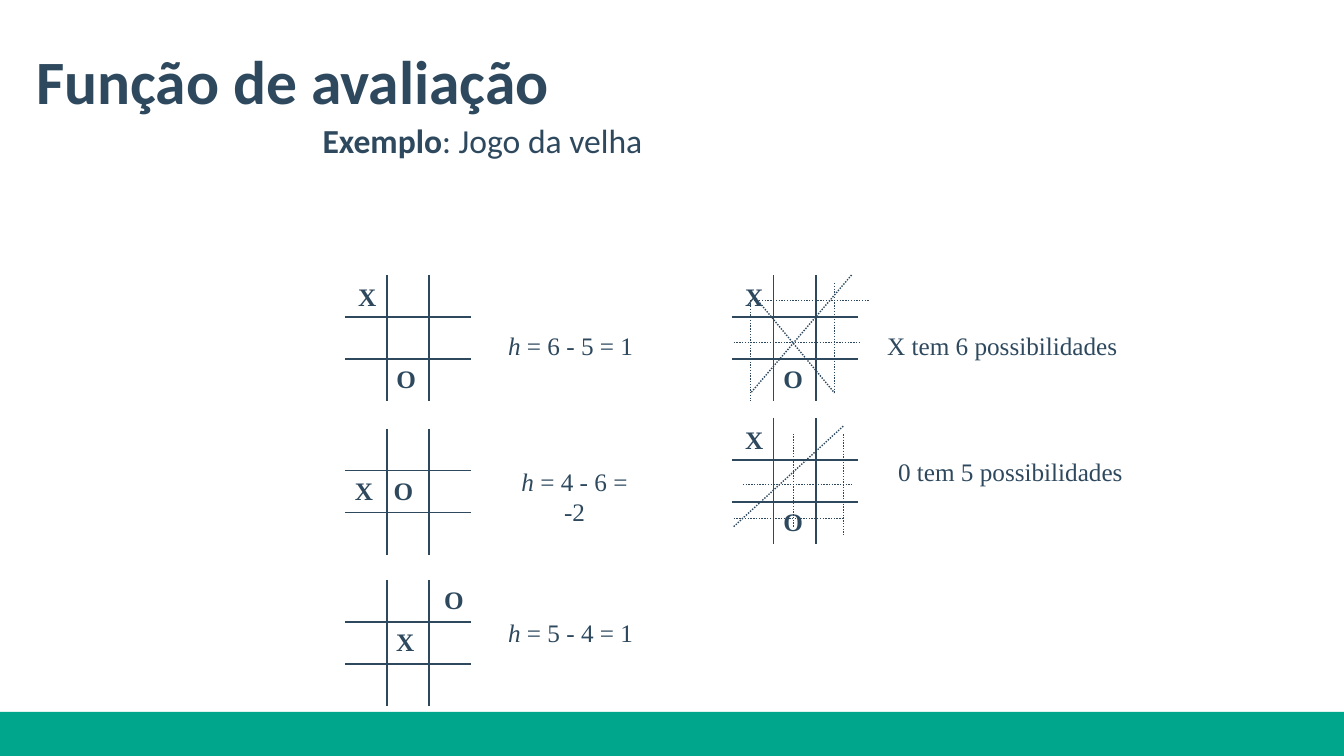
from lxml.etree import SubElement
from pptx import Presentation
from pptx.dml.color import RGBColor
from pptx.enum.dml import MSO_LINE
from pptx.enum.shapes import MSO_CONNECTOR, MSO_SHAPE
from pptx.enum.text import MSO_ANCHOR, MSO_AUTO_SIZE, PP_ALIGN
from pptx.oxml.ns import qn
from pptx.util import Cm, Pt

INK, GREEN = "2E495E", "00A68B"
CELL = 1.06
LEFT_X, RIGHT_X = 8.69, 18.44


def add_line(x1, y1, x2, y2, dash=None):
    line = s.shapes.add_connector(MSO_CONNECTOR.STRAIGHT, Cm(x1), Cm(y1), Cm(x2), Cm(y2))
    line.line.color.rgb = RGBColor.from_string(INK)
    line.line.width = Pt(1)
    if dash:
        line.line.dash_style = dash
    SubElement(line._element.spPr, qn("a:effectLst"))


def add_label(x, y, width, runs):
    """Place centred text; runs are (text, bold, italic)."""
    tf = s.shapes.add_textbox(Cm(x), Cm(y), Cm(width), Cm(1.02)).text_frame
    tf.word_wrap = False
    tf.auto_size = MSO_AUTO_SIZE.SHAPE_TO_FIT_TEXT
    p = tf.paragraphs[0]
    p.alignment = PP_ALIGN.CENTER
    for text, bold, italic in runs:
        r = p.add_run()
        r.text = text
        r.font.name, r.font.size = "Times New Roman", Pt(18)
        r.font.bold, r.font.italic = bold, italic
        r.font.color.rgb = RGBColor.from_string(INK)


prs = Presentation()
prs.slide_width, prs.slide_height = Cm(33.87), Cm(19.05)
s = prs.slides.add_slide(prs.slide_layouts[5])

# Footer bar
bar = s.shapes.add_shape(MSO_SHAPE.RECTANGLE, 0, Cm(17.94), prs.slide_width, Cm(1.11))
bar.shadow.inherit = False
bar.fill.solid()
bar.fill.fore_color.rgb = RGBColor.from_string(GREEN)
bar.line.fill.background()

# Title
title = s.shapes.title
title.left, title.top, title.width, title.height = Cm(0.66), Cm(0.3), Cm(29.21), Cm(3.68)
tf = title.text_frame
tf.text = "Função de avaliação"
tf.auto_size = MSO_AUTO_SIZE.NONE
tf.vertical_anchor = MSO_ANCHOR.MIDDLE
p = tf.paragraphs[0]
p.alignment = PP_ALIGN.LEFT
p.line_spacing = 0.9
font = p.runs[0].font
font.name, font.size, font.bold = "Calibri", Pt(44), True
font.color.rgb = RGBColor.from_string(INK)

# Subtitle
tf = s.shapes.add_textbox(Cm(4.85), Cm(3), Cm(24.13), Cm(1.5)).text_frame
tf.word_wrap = True
tf.margin_left = Cm(3.28)
p = tf.paragraphs[0]
p.line_spacing, p.space_before = 0.9, Pt(5)
for text, bold in (("Exemplo", True), (": Jogo da velha", False)):
    r = p.add_run()
    r.text = text
    r.font.name, r.font.size, r.font.bold = "Calibri", Pt(24), bold
    r.font.color.rgb = RGBColor.from_string(INK)

# Boards: left, top, offset of X, offset of O, offsets of the winning lines
corner_x, bottom_o = (0.08, 0.03), (1.04, 2.11)
x_wins = [
    (0.48, 0.64, 0.48, 3.18), (0.48, 0.64, 3.45, 0.64), (0.05, 1.7, 3.23, 1.7),
    (2.59, 0.2, 2.59, 2.97), (0.48, 0.43, 2.59, 2.97), (3.02, 0, 0.48, 2.97),
]
o_wins = [
    (0.05, 2.54, 2.82, 2.54), (0.05, 2.74, 2.82, 0.2), (2.82, 0.41, 2.82, 2.95),
    (0.28, 1.68, 3.02, 1.68), (1.55, 2.74, 1.55, 0.41),
]
boards = [
    (RIGHT_X, 6.93, corner_x, bottom_o, x_wins),
    (RIGHT_X, 10.53, corner_x, bottom_o, o_wins),
    (LEFT_X, 6.93, corner_x, bottom_o, []),
    (LEFT_X, 10.8, (0, CELL), (0.97, CELL), []),
    (LEFT_X, 14.61, (1.04, CELL), (2.24, 0), []),
]
for left, top, x_mark, o_mark, wins in boards:
    for i in (1, 2):
        add_line(left + i * CELL, top, left + i * CELL, top + 3 * CELL)
        add_line(left, top + i * CELL, left + 3 * CELL, top + i * CELL)
    for mark, (dx, dy), width in (("X", x_mark, 0.97), ("O", o_mark, 1.02)):
        add_label(left + dx, top + dy, width, [(mark, True, False)])
    for x1, y1, x2, y2 in wins:
        add_line(left + x1, top + y1, left + x2, top + y2, MSO_LINE.ROUND_DOT)

# Heuristic values
for y, width, value in ((8.2, 3.66, "6 - 5 = 1"), (11.63, 3.86, "4 - 6 = -2"), (15.44, 3.66, "5 - 4 = 1")):
    add_label(12.55, y, width, [("h", False, True), (f" = {value}", False, False)])

# Counts of possibilities
add_label(22.1, 8.2, 6.32, [("X tem 6 possibilidades", False, False)])
add_label(22.38, 11.38, 6.17, [("0 tem 5 possibilidades", False, False)])

prs.save("out.pptx")
